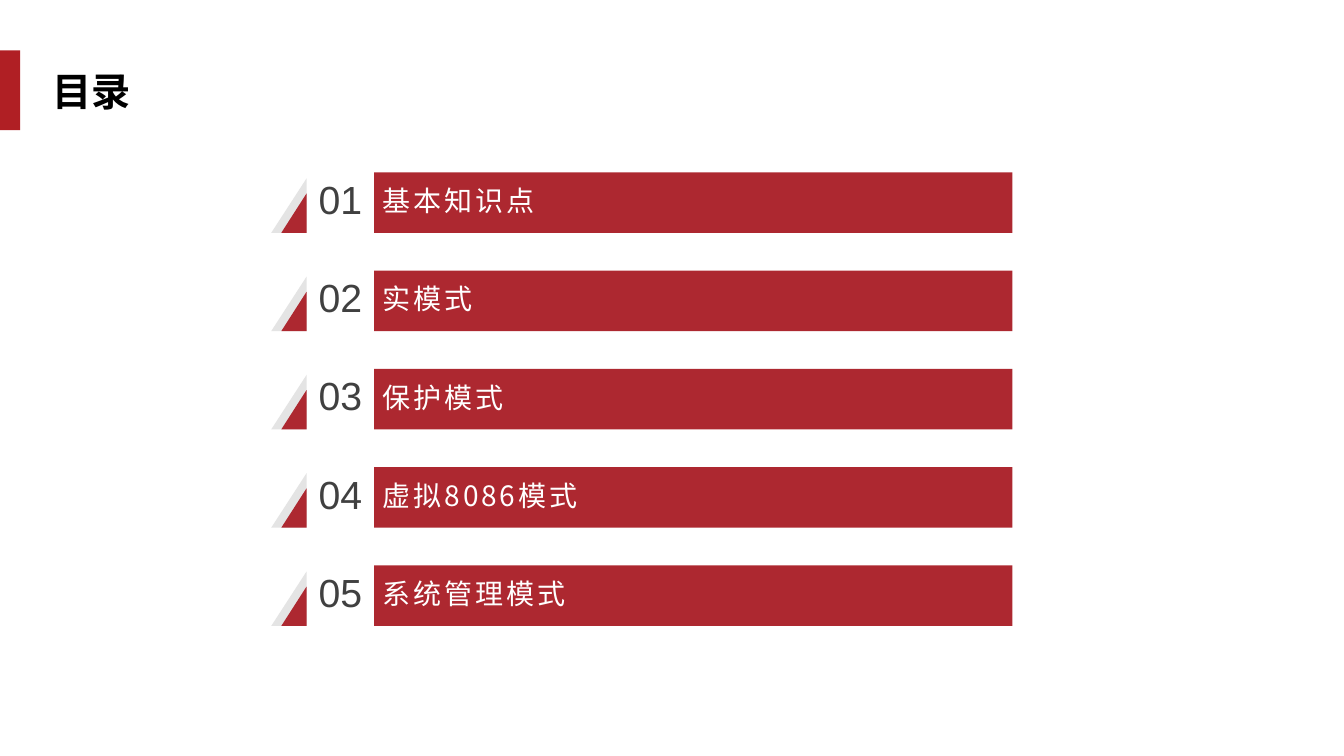
from pptx import Presentation
from pptx import util as u
from pptx.dml.color import RGBColor
from pptx.enum import shapes, text
from pptx.oxml.ns import qn
from lxml import etree

WIDE, HIGH = 13.33, 7.5
MARK = RGBColor(0xB0, 0x1F, 0x24)
RED = RGBColor(0xAD, 0x28, 0x30)
PALE = RGBColor(0xE4, 0xE4, 0xE4)
GRAY = RGBColor(0x40, 0x40, 0x40)
BLACK = RGBColor(0, 0, 0)
WHITE = RGBColor(255, 255, 255)
HAN = "Noto Sans CJK SC"
TOPICS = ["基本知识点", "实模式", "保护模式", "虚拟8086模式", "系统管理模式"]


def paint(shape, color):
    """Give a shape a flat fill with no line or shadow."""
    shape.shadow.inherit = False
    shape.fill.solid()
    shape.fill.fore_color.rgb = color
    shape.line.fill.background()


def write(frame, words, face, size, color, bold=False):
    """Put one styled line into a text frame and return its run."""
    frame.text = words
    run = frame.paragraphs[0].runs[0]
    font = run.font
    font.name, font.size, font.bold = face, u.Pt(size), bold
    font.color.rgb = color
    etree.SubElement(font._element, qn("a:ea")).set("typeface", face)
    return run


def outline(slide, color, *rings):
    """Draw closed rings, given in inches, as one filled shape."""
    rings = [[(u.Inches(x), u.Inches(y)) for x, y in ring] for ring in rings]
    pen = slide.shapes.build_freeform(*rings[0][0])
    for i, ring in enumerate(rings):
        if i:
            pen.move_to(*ring[0])
        pen.add_line_segments(ring[1:], close=True)
    paint(pen.convert_to_shape(), color)


def label(slide, x, y, w, h):
    """Add a wrapping text box and return its frame."""
    box = slide.shapes.add_textbox(*map(u.Inches, (x, y, w, h)))
    box.text_frame.word_wrap = True
    return box.text_frame


def header(slide, x, y, w, h):
    """Place the edge mark and the slide title."""
    bar = slide.shapes.add_shape(
        shapes.MSO_SHAPE.RECTANGLE, *map(u.Inches, (x, y, 0.2, h)))
    paint(bar, MARK)
    title = slide.shapes.title
    title.left, title.top = u.Inches(x + 0.42), u.Inches(y + 0.12)
    title.width, title.height = u.Inches(w), u.Inches(0.57)
    frame = title.text_frame
    write(frame, "目录", HAN, 28, BLACK, True)
    frame.word_wrap = False
    frame.auto_size = text.MSO_AUTO_SIZE.NONE
    frame.vertical_anchor = text.MSO_ANCHOR.TOP
    frame.paragraphs[0].alignment = text.PP_ALIGN.LEFT


def entry(slide, x, y, w, h, num, topic):
    """Place one numbered row: corner, number, bar and topic."""
    edge, bar = x + 0.35, x + 1.02
    right, low = x + w, y + h
    outline(slide, PALE, [(edge, y + 0.06), (edge, low), (x, low)])
    outline(slide, RED,
            [(edge, y + 0.21), (edge, low), (x + 0.1, low)],
            [(bar, y), (right, y), (right, low), (bar, low)])
    frame = label(slide, edge, y - 0.04, bar - edge, h)
    frame.margin_left = frame.margin_right = 0
    frame.margin_top = frame.margin_bottom = 0
    frame.vertical_anchor = text.MSO_ANCHOR.MIDDLE
    write(frame, f"{num:02}", "Arial", 28, GRAY)
    frame.paragraphs[0].alignment = text.PP_ALIGN.CENTER
    frame = label(slide, bar - 0.01, y + 0.1, right - bar, 0.39)
    run = write(frame, topic, HAN, 20, WHITE)
    run.font._element.set("spc", "200")
    frame.paragraphs[0].line_spacing = 0.9


def agenda(slide, x, y, w, h):
    """Spread the topics evenly down the box."""
    tall = 0.6
    step = (h - tall) / (len(TOPICS) - 1)
    for i, topic in enumerate(TOPICS):
        entry(slide, x, y + i * step, w, tall, i + 1, topic)


def main():
    """Build and save the slide."""
    deck = Presentation()
    deck.slide_width, deck.slide_height = u.Inches(WIDE), u.Inches(HIGH)
    slide = deck.slides.add_slide(deck.slide_layouts[5])
    header(slide, 0, 0.5, 0.99, 0.79)
    agenda(slide, 2.69, 1.71, 7.35, 4.5)
    deck.save("out.pptx")


if __name__ == "__main__":
    main()
